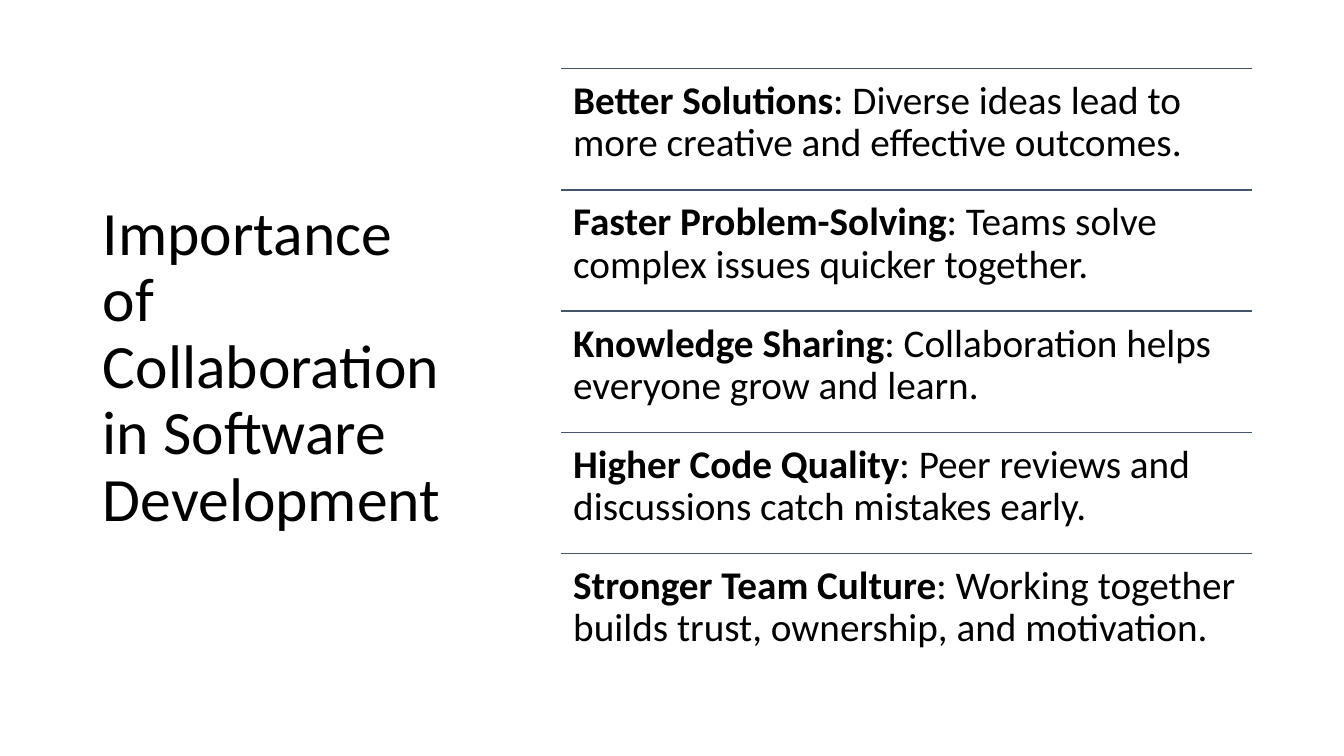
from dataclasses import dataclass

from lxml import etree
from pptx import Presentation
from pptx import util as u
from pptx.dml.color import RGBColor
from pptx.enum import shapes, text
from pptx.oxml import ns


@dataclass(frozen=True)
class Theme:
    font: str = "Calibri"
    ink: str = "000000"
    rule: str = "44546A"
    head: float = 44
    body: float = 28
    line: float = 1
    lead: float = 0.9


@dataclass(frozen=True)
class Box:
    """Place and size in grid columns and rows."""
    col: float
    row: float
    wide: float
    high: float


@dataclass(frozen=True)
class Point:
    name: str
    note: str


THEME = Theme()
WIDTH, HEIGHT = u.Inches(13.33), u.Inches(7.5)
COLS = ROWS = 12
TITLE = "Importance of Collaboration in Software Development"
TITLE_BOX = Box(0.83, 0.98, 3.32, 9.74)
LIST_BOX = Box(5.01, 1.09, 6.17, 9.62)
POINTS = [
    Point("Better Solutions", "Diverse ideas lead to more creative and effective outcomes."),
    Point("Faster Problem-Solving", "Teams solve complex issues quicker together."),
    Point("Knowledge Sharing", "Collaboration helps everyone grow and learn."),
    Point("Higher Code Quality", "Peer reviews and discussions catch mistakes early."),
    Point("Stronger Team Culture", "Working together builds trust, ownership, and motivation."),
]
PAD = u.Inches(0.12)
TITLE_FRAME = {"vertical_anchor": text.MSO_ANCHOR.MIDDLE}
POINT_FRAME = {"margin_left": PAD, "margin_right": PAD,
               "margin_top": PAD, "margin_bottom": PAD}


def across(cols: float) -> int:
    return round(WIDTH * cols / COLS)


def down(rows: float) -> int:
    return round(HEIGHT * rows / ROWS)


def apply(target: object, values: dict) -> None:
    for name, value in values.items():
        setattr(target, name, value)


def add_text(slide, box: Box, runs: list[tuple[str, bool]], size: float,
             frame: dict) -> None:
    """Add one paragraph made of (wording, bold) runs."""
    shape = slide.shapes.add_textbox(across(box.col), down(box.row),
                                     across(box.wide), down(box.high))
    body = shape.text_frame
    apply(body, {"word_wrap": True, **frame})
    para = body.paragraphs[0]
    para.line_spacing = THEME.lead
    for words, bold in runs:
        run = para.add_run()
        run.text = words
        apply(run.font, {"name": THEME.font, "size": u.Pt(size), "bold": bold})
        run.font.color.rgb = RGBColor.from_string(THEME.ink)


def add_rule(slide, box: Box) -> None:
    """Draw a line along the top of the box."""
    top = down(box.row)
    rule = slide.shapes.add_connector(
        shapes.MSO_CONNECTOR.STRAIGHT, across(box.col), top,
        across(box.col + box.wide), top)
    rule.line.width = u.Pt(THEME.line)
    rule.line.color.rgb = RGBColor.from_string(THEME.rule)
    etree.SubElement(rule.element.spPr, ns.qn("a:effectLst"))


def add_points(slide, area: Box, points: list[Point]) -> None:
    step = area.high / len(points)
    for i, point in enumerate(points):
        box = Box(area.col, area.row + i * step, area.wide, step)
        add_rule(slide, box)
        runs = [(point.name, True), (f": {point.note}", False)]
        add_text(slide, box, runs, THEME.body, POINT_FRAME)


def main() -> None:
    deck = Presentation()
    apply(deck, {"slide_width": WIDTH, "slide_height": HEIGHT})
    slide = deck.slides.add_slide(deck.slide_layouts[6])
    add_text(slide, TITLE_BOX, [(TITLE, False)], THEME.head, TITLE_FRAME)
    add_points(slide, LIST_BOX, POINTS)
    deck.save("out.pptx")


if __name__ == "__main__":
    main()
